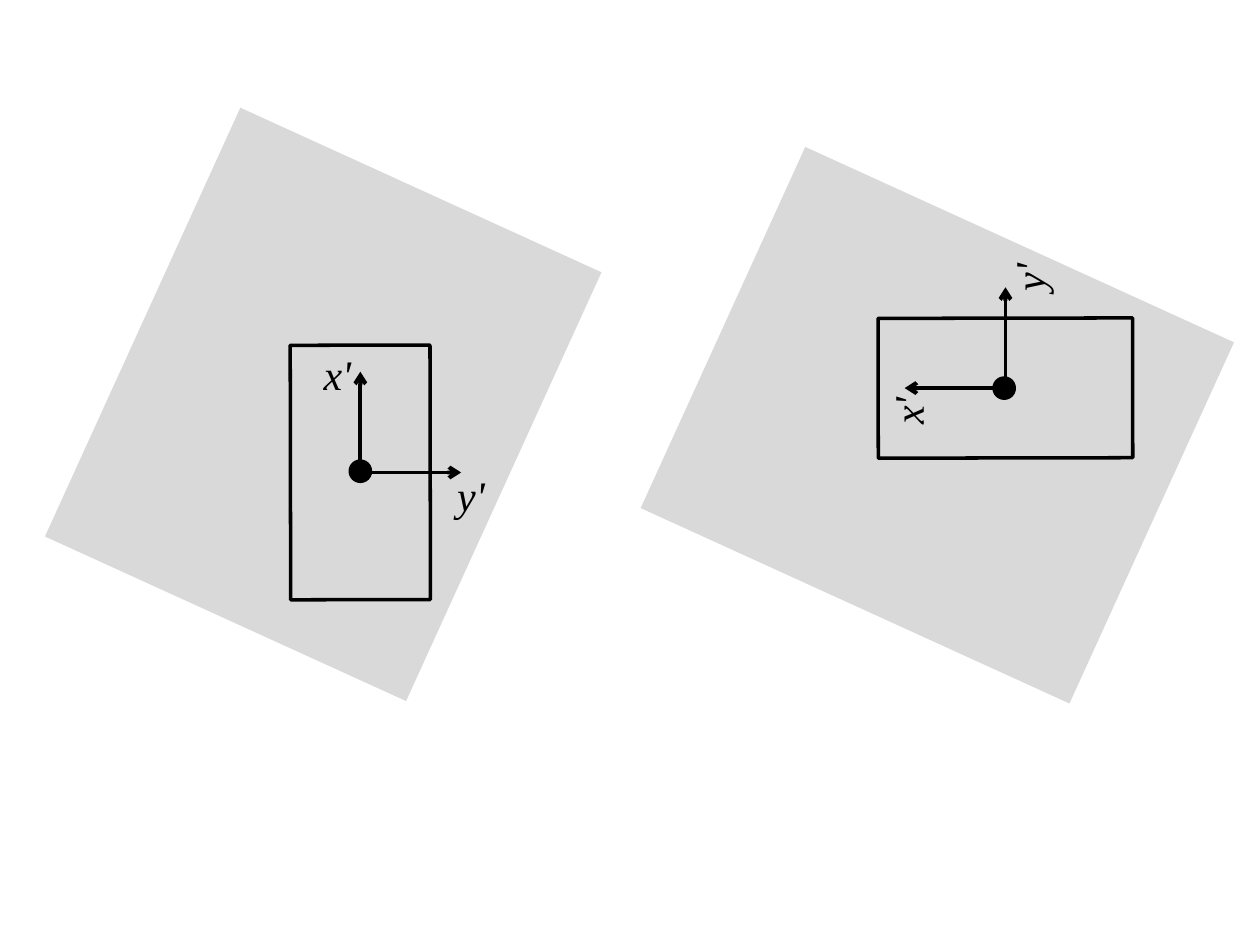
import math

from lxml import etree
from pptx import Presentation
from pptx import util as u
from pptx.dml.color import RGBColor
from pptx.enum import shapes, text
from pptx.oxml.ns import qn

COLORS = {"field": "D9D9D9", "ink": "000000"}
FONT = "Times New Roman"

# The slide is a grid of square cells, 100 columns by 75 rows
COLUMNS, ROWS = 100, 75
CELL = u.Inches(0.1)


def cells(count):
    return u.Emu(round(count * CELL))


def color(name):
    return RGBColor.from_string(COLORS[name])


def turn_point(pivot, offset, turn):
    """Turn an offset clockwise in degrees and add it to the pivot."""
    angle = math.radians(turn)
    across, down = offset
    return (pivot[0] + across * math.cos(angle) - down * math.sin(angle),
            pivot[1] + across * math.sin(angle) + down * math.cos(angle))


def centred(center, size):
    """Left, top, width and height of a part around its centre."""
    left, top = (c - s / 2 for c, s in zip(center, size))
    return [cells(value) for value in (left, top, *size)]


def add_part(group, kind, center, size, rotation, fill=None, line=None):
    part = group.shapes.add_shape(kind, *centred(center, size))
    part.rotation = rotation % 360
    part.shadow.inherit = False
    if fill:
        part.fill.solid()
        part.fill.fore_color.rgb = color(fill)
    else:
        part.fill.background()
    if line:
        part.line.color.rgb = color(line)
        part.line.width = u.Pt(2)
    else:
        part.line.fill.background()


def add_arrow(group, start, end):
    arrow = group.shapes.add_connector(
        shapes.MSO_CONNECTOR.STRAIGHT, *[cells(value) for value in (*start, *end)])
    arrow.line.color.rgb = color("ink")
    arrow.line.width = u.Pt(2.25)
    etree.SubElement(arrow.line._get_or_add_ln(), qn("a:tailEnd"), type="arrow")
    etree.SubElement(arrow._element.spPr, qn("a:effectLst"))


def add_label(group, words, center, rotation=0, size=24, italic=True, ink="ink"):
    box = group.shapes.add_textbox(*centred(center, (4.2, 5)))
    box.rotation = rotation % 360
    frame = box.text_frame
    frame.word_wrap = False
    frame.auto_size = text.MSO_AUTO_SIZE.SHAPE_TO_FIT_TEXT
    span = frame.paragraphs[0].add_run()
    span.text = words
    span.font.name = FONT
    span.font.size = u.Pt(size)
    span.font.italic = italic
    span.font.color.rgb = color(ink)


def add_figure(page, box, turn=0):
    """Place the field, the body and its axes, turned about the box's centre."""
    left, top, width, height = box
    pivot = (left + width / 2, top + height / 2)
    group = page.shapes.add_group_shape()

    def spot(across, down):
        return turn_point(pivot, (across, down), turn)

    # Tilted field, upright body and its origin
    rect, oval = shapes.MSO_SHAPE.RECTANGLE, shapes.MSO_SHAPE.OVAL
    add_part(group, rect, spot(-2.95, -5.4), (31.5, 37.4), turn + 24.5, fill="field")
    add_part(group, rect, spot(0, 0), (11.1, 20.2), turn - 0.1, line="ink")
    add_part(group, oval, spot(0, -0.1), (1.6, 1.6), turn - 0.1, fill="ink", line="ink")

    # Axes and their labels
    for words, tip, place in (("x'", (0, -8), (-1.8, -7.8)),
                              ("y'", (8, 0), (8.8, 1.8))):
        add_arrow(group, spot(0, 0), spot(*tip))
        add_label(group, words, spot(*place), turn)


def main():
    deck = Presentation()
    deck.slide_width, deck.slide_height = cells(COLUMNS), cells(ROWS)
    page = deck.slides.add_slide(deck.slide_layouts[6])

    # Same figure twice, the second a quarter turn to the left
    add_figure(page, (3.6, 12.5, 50, 50))
    add_figure(page, (54.8, 5.8, 50, 50), turn=-90)

    deck.save("out.pptx")


if __name__ == "__main__":
    main()
